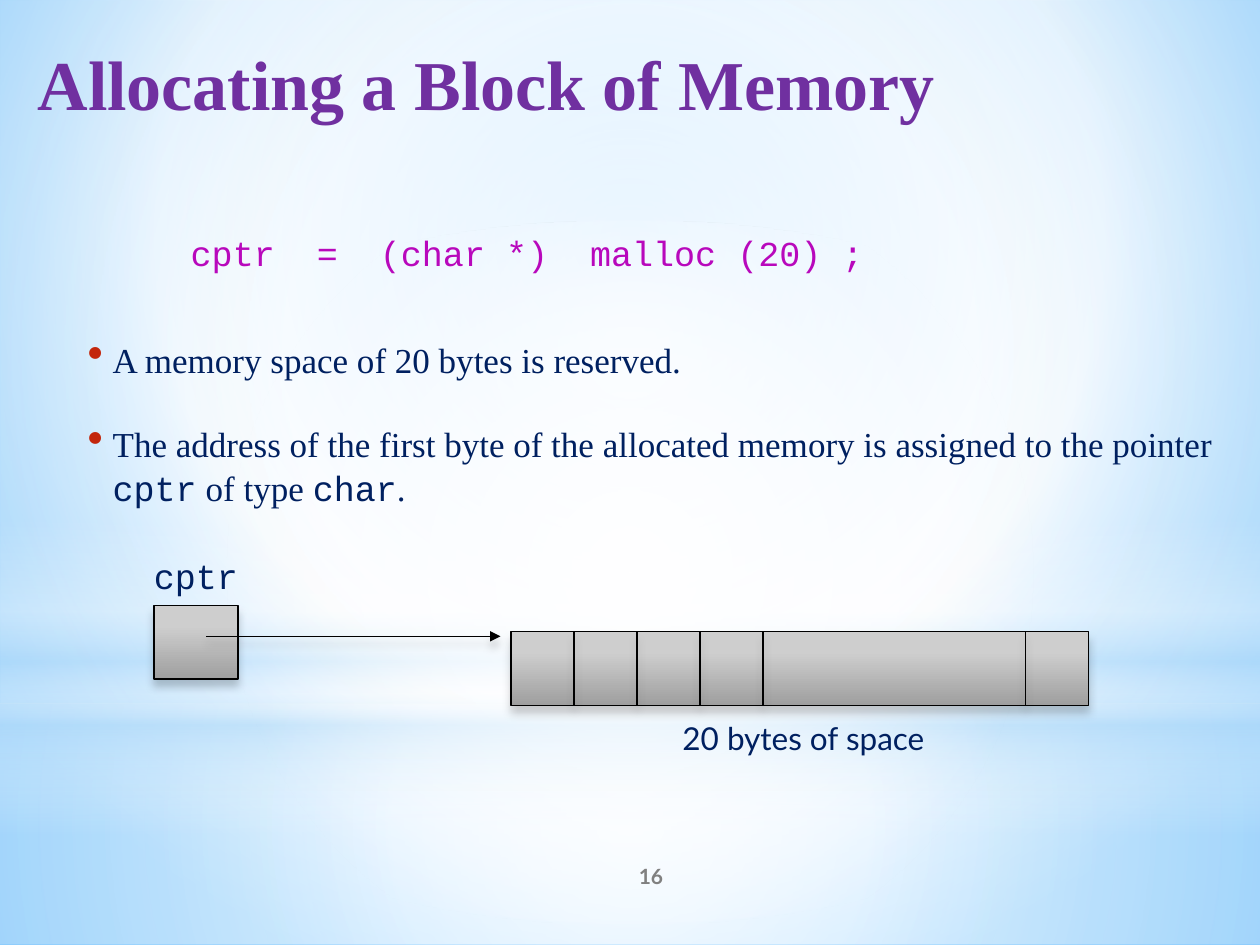
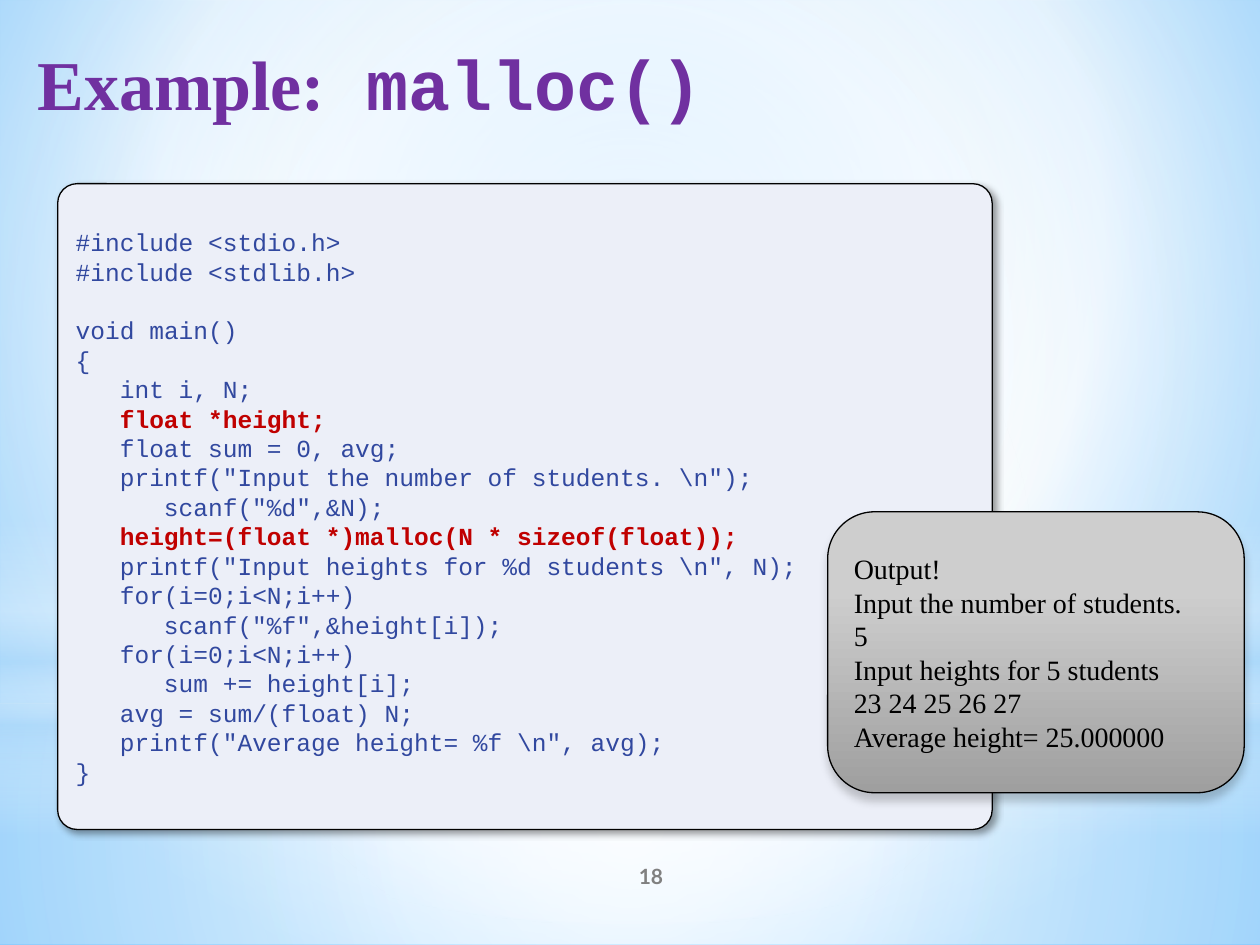
import pptx
import pptx.util
import pptx.dml.color
import pptx.enum.shapes
import pptx.enum.text
import pptx.oxml
import pptx.oxml.ns
from lxml import etree

Pt = pptx.util.Pt
Kind = pptx.enum.shapes.MSO_SHAPE
Align = pptx.enum.text.PP_ALIGN
Anchor = pptx.enum.text.MSO_ANCHOR
qn = pptx.oxml.ns.qn

# Colours and text styles
HUES = {"title": "7030A0", "navy": "002060", "pink": "B808BC", "gray": "808080",
        "code": "31489F", "key": "C00000", "black": "000000", "panel": "ECEFF8",
        "bullet": "C3260C", "white": "FFFFFF", "pale": "B4DCFA", "sky": "9ED5FF",
        "deep": "5BB9FF", "light": "CECECE", "dark": "9F9F9F"}
SERIF, MONO, SANS = "Times New Roman", "Courier New", "Lato"
STYLES = {  # font, size, colour, bold
    "title": (SERIF, 40, "title", True),
    "func": (MONO, 40, "title", True),
    "call": (MONO, 20, "pink", False),
    "body": (SERIF, 20, "navy", False),
    "word": (MONO, 20, "navy", False),
    "note": (SANS, 18, "navy", False),
    "page": (SANS, 12, "gray", True),
    "code": (MONO, 14, "code", False),
    "key": (MONO, 14, "key", True),
    "out": (SERIF, 16, "black", False),
}

# Content
CALL = "cptr  =  (char *)  malloc (20) ;"
POINTS = [
    [("A memory space of 20 bytes is reserved.", "body")],
    [("The address of the first byte of the allocated memory is assigned "
      "to the pointer ", "body"), ("cptr", "word"), (" of type ", "body"),
     ("char", "word"), (".", "body")],
]
CODE = [  # indent level, text, style
    (0, "#include <stdio.h>", "code"),
    (0, "#include <stdlib.h>", "code"),
    (0, "void main()", "code"),
    (0, "{", "code"),
    (1, "int i, N;", "code"),
    (1, "float *height;", "key"),
    (1, "float sum = 0, avg;", "code"),
    (1, 'printf("Input the number of students. \\n");', "code"),
    (2, 'scanf("%d",&N);', "code"),
    (1, "height=(float *)malloc(N * sizeof(float));", "key"),
    (1, 'printf("Input heights for %d students \\n", N);', "code"),
    (1, "for(i=0;i<N;i++)", "code"),
    (2, 'scanf("%f",&height[i]);', "code"),
    (1, "for(i=0;i<N;i++)", "code"),
    (2, "sum += height[i];", "code"),
    (1, "avg = sum/(float) N;", "code"),
    (1, 'printf("Average height= %f \\n", avg);', "code"),
    (0, "}", "code"),
]
OUTPUT = ["Output!", "Input the number of students.", "5",
          "Input heights for 5 students", "23 24 25 26 27",
          "Average height= 25.000000"]

# Gradients: stops (place, colour, opacity), then an angle or a focus box
MID = (50, 50, 50, 50)
SKY = ([(0, "sky", 100), (60, "white", 100), (100, "deep", 100)], (20, 10, 20, 60))
METAL = ([(28, "light", 100), (100, "dark", 100)], 90)
GLOWS = [
    (Kind.RECTANGLE, (0, 402, 720, 138),
     ([(0, "white", 91), (37, "white", 76), (100, "pale", 79)], MID)),
    (Kind.RECTANGLE, (0, 0, 720, 402),
     ([(0, "white", 89), (48, "white", 62), (100, "pale", 79)], MID)),
    (Kind.RECTANGLE, (0, 297, 720, 180),
     ([(0, "white", 0), (29, "white", 30), (45, "pale", 40), (55, "white", 26),
       (65, "pale", 60), (100, "white", 0)], 90)),
    (Kind.OVAL, (0, 126, 720, 402),
     ([(0, "white", 100), (56, "white", 0)], MID)),
]

# Shadows: opacity, blur, distance, angle
DROP = (20, 5, 4, 90)
SLANT = (40, 4, 3, 45)


def rgb(name):
    return pptx.dml.color.RGBColor.from_string(HUES[name])


def node(home, tag, **attrs):
    return etree.SubElement(home, qn(tag), {k: str(v) for k, v in attrs.items()})


# Fills and effects
def blend(home, stops, way):
    """Replace the solid fill in home with a gradient."""
    old = home.find(qn("a:solidFill"))
    grad = etree.Element(qn("a:gradFill"), rotWithShape="1")
    rows = node(grad, "a:gsLst")
    for place, hue, alpha in stops:
        stop = node(rows, "a:gs", pos=place * 1000)
        tint = node(stop, "a:srgbClr", val=HUES[hue])
        if alpha < 100:
            node(tint, "a:alpha", val=alpha * 1000)
    if isinstance(way, tuple):
        sides = {k: v * 1000 for k, v in zip("ltrb", way)}
        node(node(grad, "a:path", path="circle"), "a:fillToRect", **sides)
    else:
        node(grad, "a:lin", ang=way * 60000, scaled=0)
    home.replace(old, grad)


def shade(item, drop):
    props = item.element.spPr
    list_ = props.find(qn("a:effectLst"))
    if list_ is None:
        list_ = node(props, "a:effectLst")
    alpha, blur, dist, turn = drop
    cast = node(list_, "a:outerShdw", blurRad=Pt(blur), dist=Pt(dist),
                dir=turn * 60000, rotWithShape=0)
    node(node(cast, "a:srgbClr", val=HUES["black"]), "a:alpha", val=alpha * 1000)


# Drawing
def block(slide, kind, box, paint, drop=None):
    item = slide.shapes.add_shape(kind, *map(Pt, box))
    item.shadow.inherit = False
    item.fill.solid()
    if isinstance(paint, str):
        item.fill.fore_color.rgb = rgb(paint)
    else:
        blend(item.element.spPr, *paint)
    if drop:
        item.line.color.rgb = rgb("black")
        item.line.width = Pt(0.75)
        shade(item, drop)
    else:
        item.line.fill.background()
    return item


def stroke(slide, ends, arrow=False):
    line = slide.shapes.add_connector(
        pptx.enum.shapes.MSO_CONNECTOR.STRAIGHT, *map(Pt, ends))
    line.line.color.rgb = rgb("black")
    line.line.width = Pt(0.75)
    if arrow:
        node(line.element.spPr.find(qn("a:ln")), "a:tailEnd", type="triangle")
    shade(line, DROP)


# Text
def write(frame, paras, lead=1.0, align=Align.LEFT):
    """Fill a frame with paragraphs, each a list of (text, style)."""
    frame.word_wrap = True
    for i, parts in enumerate(paras):
        para = frame.add_paragraph() if i else frame.paragraphs[0]
        para.alignment = align
        para.line_spacing = lead
        for text, style in parts:
            run = para.add_run()
            run.text = text
            face, size, hue, bold = STYLES[style]
            run.font.name, run.font.size, run.font.bold = face, Pt(size), bold
            run.font.color.rgb = rgb(hue)


def label(slide, box, paras, **kw):
    frame = slide.shapes.add_textbox(*map(Pt, box)).text_frame
    frame.margin_left = frame.margin_right = 0
    frame.margin_top = frame.margin_bottom = 0
    write(frame, paras, **kw)
    return frame


def indent(para, left, hang=0):
    props = para._p.get_or_add_pPr()
    props.set("marL", str(Pt(left)))
    props.set("indent", str(Pt(-hang)))
    return props


def base(deck, title, page):
    """Add a slide with the shared background, title and page number."""
    slide = deck.slides.add_slide(deck.slide_layouts[6])
    slide.background.fill.solid()
    blend(slide.element.find(".//" + qn("p:bgPr")), *SKY)
    for kind, box, paint in GLOWS:
        block(slide, kind, box, paint)
    label(slide, (21.5, 23, 672, 60), [title])
    foot = label(slide, (300, 486, 144, 29), [[(page, "page")]], align=Align.CENTER)
    foot.vertical_anchor = Anchor.MIDDLE
    return slide


def memory(deck):
    slide = base(deck, [("Allocating a Block of Memory", "title")], "16")
    label(slide, (109, 132, 500, 26), [[(CALL, "call")]])

    # Bullets
    frame = label(slide, (50, 192, 655, 100), POINTS, lead=1.05)
    for para in frame.paragraphs:
        para.space_after = Pt(23)
        props = indent(para, 14.4, 14.4)
        node(node(props, "a:buClr"), "a:srgbClr", val=HUES["bullet"])
        node(props, "a:buSzPct", val=130000)
        node(props, "a:buChar", char="•")

    # Byte row with dividers, then the pointer
    left, top, wide, high, cell = 292, 361, 330, 42, 36
    block(slide, Kind.RECTANGLE, (left, top, wide, high), METAL, DROP)
    for x in [left + cell * i for i in range(1, 5)] + [left + wide - cell]:
        stroke(slide, (x, top, x, top + high))
    block(slide, Kind.RECTANGLE, (88, 346, 48, high), METAL, DROP)
    stroke(slide, (118, 363.6, 286, 363.6), arrow=True)
    label(slide, (71, 317, 82, 24), [[("cptr", "word")]], align=Align.CENTER)
    label(slide, (390, 411, 150, 24), [[("20 bytes of space", "note")]])


def example(deck):
    slide = base(deck, [("Example:", "title"), (" malloc()", "func")], "18")

    # Code panel
    panel = block(slide, Kind.ROUNDED_RECTANGLE, (33, 105, 534, 369), "panel", SLANT)
    panel.adjustments[0] = 0.03
    frame = panel.text_frame
    frame.vertical_anchor = Anchor.MIDDLE
    step = 16.8
    write(frame, [[(text, style)] for _, text, style in CODE], lead=Pt(step))
    for para, (level, text, _) in zip(frame.paragraphs, CODE):
        indent(para, 25.2 * level)
        if text == "void main()":
            para.space_before = Pt(step)

    # Output panel
    panel = block(slide, Kind.ROUNDED_RECTANGLE, (473, 292.5, 238, 160.5), METAL, DROP)
    panel.text_frame.vertical_anchor = Anchor.MIDDLE
    write(panel.text_frame, [[(text, "out")] for text in OUTPUT], lead=Pt(19.2))


def main():
    deck = pptx.Presentation()
    deck.slide_width, deck.slide_height = Pt(720), Pt(540)
    memory(deck)
    example(deck)
    deck.save("out.pptx")


if __name__ == "__main__":
    main()
